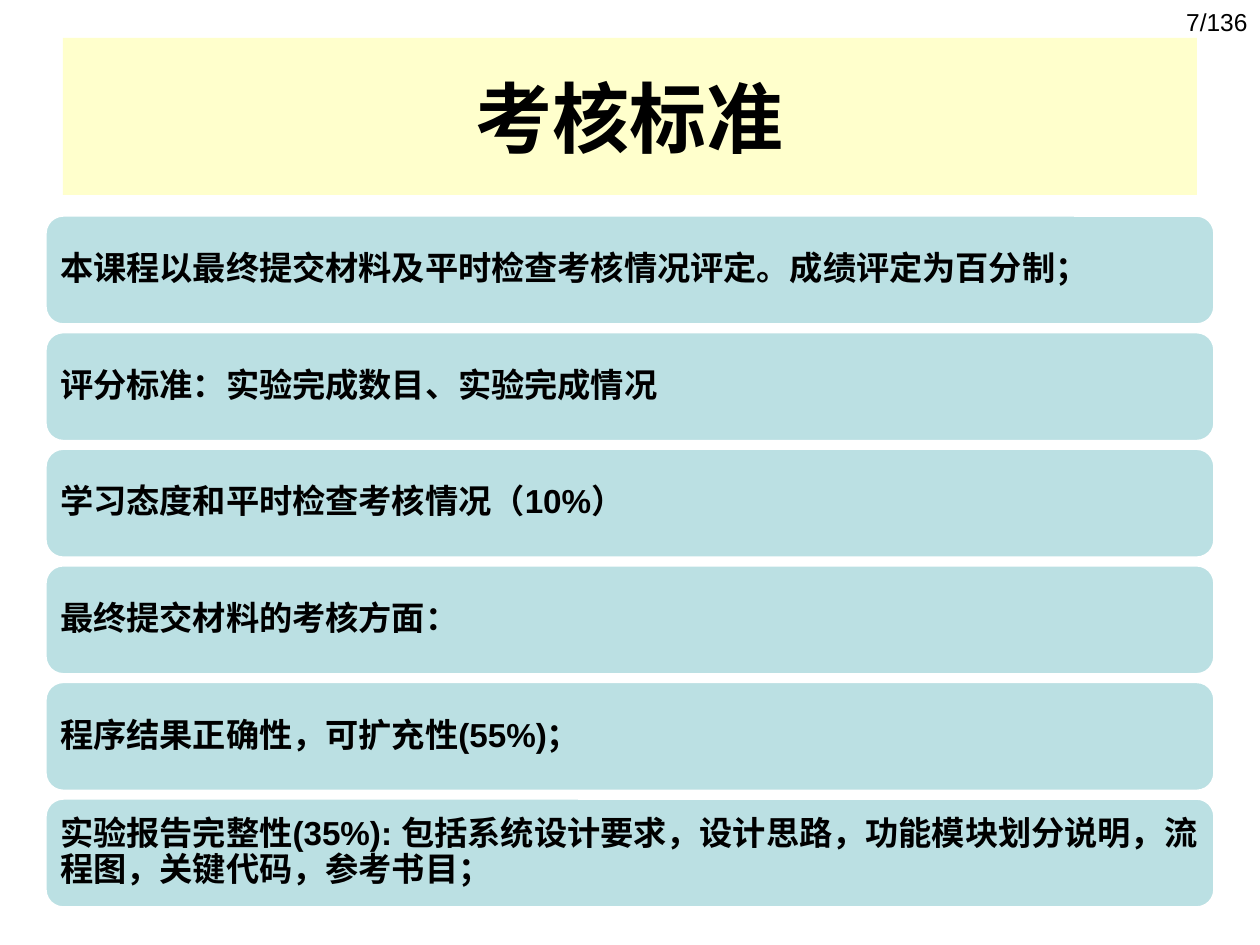
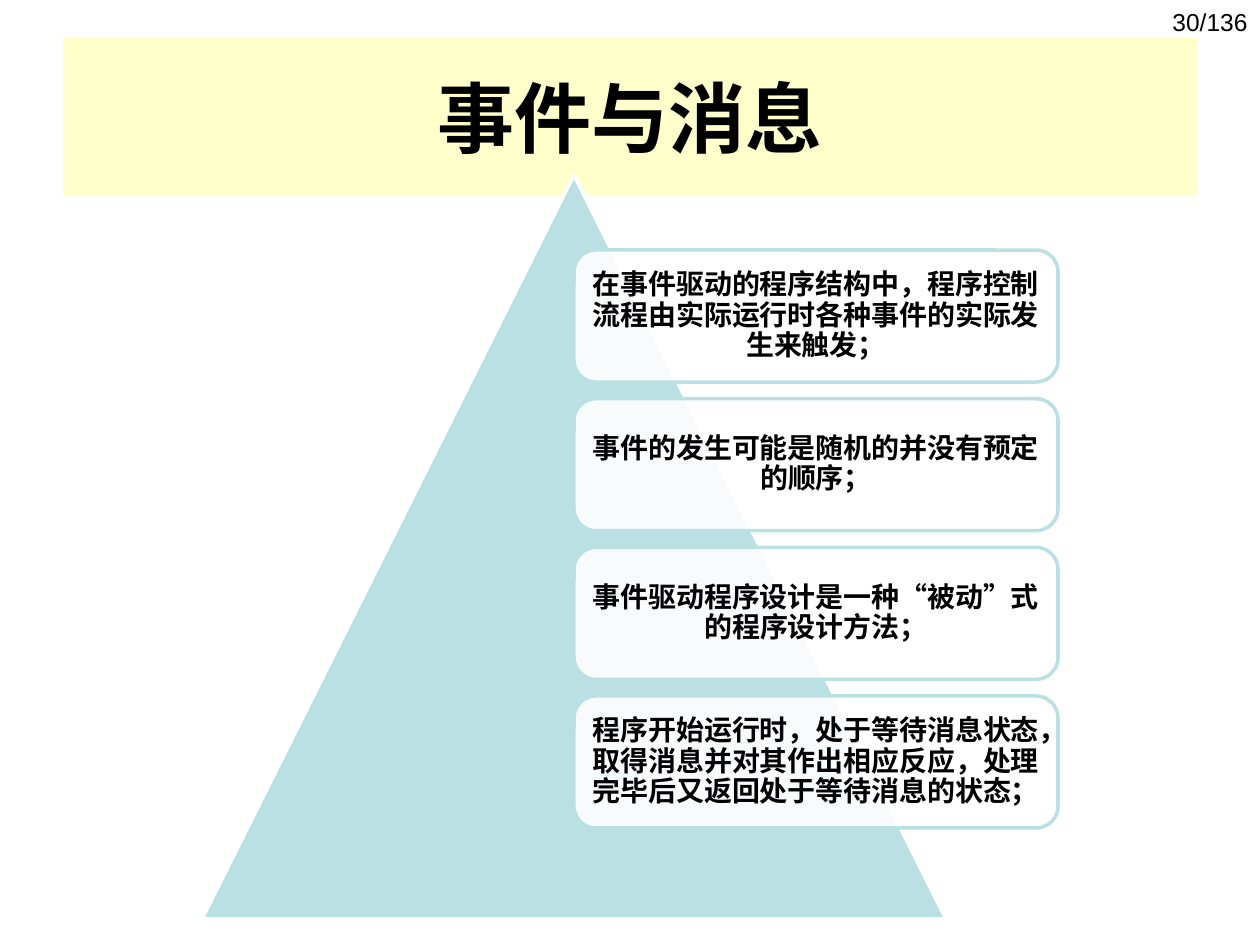
from lxml import etree
from pptx import Presentation
from pptx.dml.color import RGBColor
from pptx.enum.shapes import MSO_SHAPE
from pptx.enum.text import MSO_ANCHOR, PP_ALIGN
from pptx.oxml.ns import qn
from pptx.util import Emu, Pt

RECTANGLE = MSO_SHAPE.RECTANGLE
ROUNDED = MSO_SHAPE.ROUNDED_RECTANGLE
TRIANGLE = MSO_SHAPE.ISOSCELES_TRIANGLE
TOP, MIDDLE = MSO_ANCHOR.TOP, MSO_ANCHOR.MIDDLE
LEFT, CENTER, RIGHT = PP_ALIGN.LEFT, PP_ALIGN.CENTER, PP_ALIGN.RIGHT

EMU_PER_PX = 914400 / 126
PAGE_WIDTH, PAGE_HEIGHT = 1260, 945
FONT = "Arial"
BLACK, WHITE, CREAM, AQUA = "000000", "FFFFFF", "FFFFCC", "BBE0E3"
TITLE_BOX = (63, 38, 1134, 157)
NUMBER_BOX = (1147, 1, 113, 66)
PAGE_TOTAL = 136

GRADING_RULES = [
    "本课程以最终提交材料及平时检查考核情况评定。成绩评定为百分制；",
    "评分标准：实验完成数目、实验完成情况",
    "学习态度和平时检查考核情况（10%）",
    "最终提交材料的考核方面：",
    "程序结果正确性，可扩充性(55%)；",
    "实验报告完整性(35%): 包括系统设计要求，设计思路，功能模块划分说明，流程图，关键代码，参考书目；",
]
EVENT_POINTS = [
    "在事件驱动的程序结构中，程序控制流程由实际运行时各种事件的实际发生来触发；",
    "事件的发生可能是随机的并没有预定的顺序；",
    "事件驱动程序设计是一种“被动”式的程序设计方法；",
    "程序开始运行时，处于等待消息状态，取得消息并对其作出相应反应，处理完毕后又返回处于等待消息的状态；",
]


def px(length):
    """Turn px into EMU."""
    return Emu(round(length * EMU_PER_PX))


def color(code):
    """Turn a hex string into a colour."""
    return RGBColor.from_string(code)


def add_panel(page, kind, box, fill, line=None, opacity=100):
    """Add a filled preset shape, outlined when a line colour is given."""
    panel = page.shapes.add_shape(kind, *map(px, box))
    panel.shadow.inherit = False
    panel.fill.solid()
    panel.fill.fore_color.rgb = color(fill)
    if opacity < 100:
        fill_color = panel.fill._xPr.find(qn("a:solidFill"))[0]
        etree.SubElement(fill_color, qn("a:alpha"), val=str(opacity * 1000))
    if line:
        panel.line.color.rgb = color(line)
        panel.line.width = Pt(2)
    else:
        panel.line.fill.background()
    return panel


def write(shape, text, size, align, anchor=MIDDLE, bold=True):
    """Put one styled paragraph in a shape."""
    frame = shape.text_frame
    frame.text = text
    frame.word_wrap = True
    frame.vertical_anchor = anchor
    para = frame.paragraphs[0]
    para.alignment = align
    for span in para.runs:
        span.font.name = FONT
        span.font.size = Pt(size)
        span.font.bold = bold
        span.font.color.rgb = color(BLACK)


def add_cards(page, box, texts, height, size, align, inset, **style):
    """Spread rounded text cards evenly down a box."""
    left, top, width, total = box
    step = (total - height) / (len(texts) - 1)
    for index, text in enumerate(texts):
        card = add_panel(page, ROUNDED, (left, top + index * step, width, height), **style)
        write(card, text, size, align)
        frame = card.text_frame
        frame.margin_left = frame.margin_right = px(inset)
        frame.margin_top = frame.margin_bottom = px(inset)
        para = frame.paragraphs[0]
        para.line_spacing = 0.9
        para.space_after = Pt(round(size * 0.35, 1))


def add_page(deck, title, number):
    """Add a page with its title band and page number."""
    page = deck.slides.add_slide(deck.slide_layouts[6])
    write(add_panel(page, RECTANGLE, TITLE_BOX, CREAM), title, 44, CENTER)
    number_box = page.shapes.add_textbox(*map(px, NUMBER_BOX))
    write(number_box, f"{number}/{PAGE_TOTAL}", 14, RIGHT, TOP, bold=False)
    return page


def add_grading_list(page, box):
    """Fill a box with the grading rules."""
    add_cards(page, box, GRADING_RULES, 110, 19, LEFT, 10, fill=AQUA, line=WHITE)


def add_event_pyramid(page, box):
    """Draw the triangle and the event cards that start at its axis."""
    left, top, width, height = box
    add_panel(page, TRIANGLE, box, AQUA, WHITE)
    cards_box = (left + width // 2, top + 75, 484, 578)
    add_cards(page, cards_box, EVENT_POINTS, 132, 16, CENTER, 9,
              fill=WHITE, line=AQUA, opacity=90)


def main():
    """Build and save the deck."""
    deck = Presentation()
    deck.slide_width, deck.slide_height = px(PAGE_WIDTH), px(PAGE_HEIGHT)
    add_grading_list(add_page(deck, "考核标准", 7), (45, 215, 1170, 693))
    add_event_pyramid(add_page(deck, "事件与消息", 30), (202, 175, 744, 744))
    deck.save("out.pptx")


if __name__ == "__main__":
    main()
